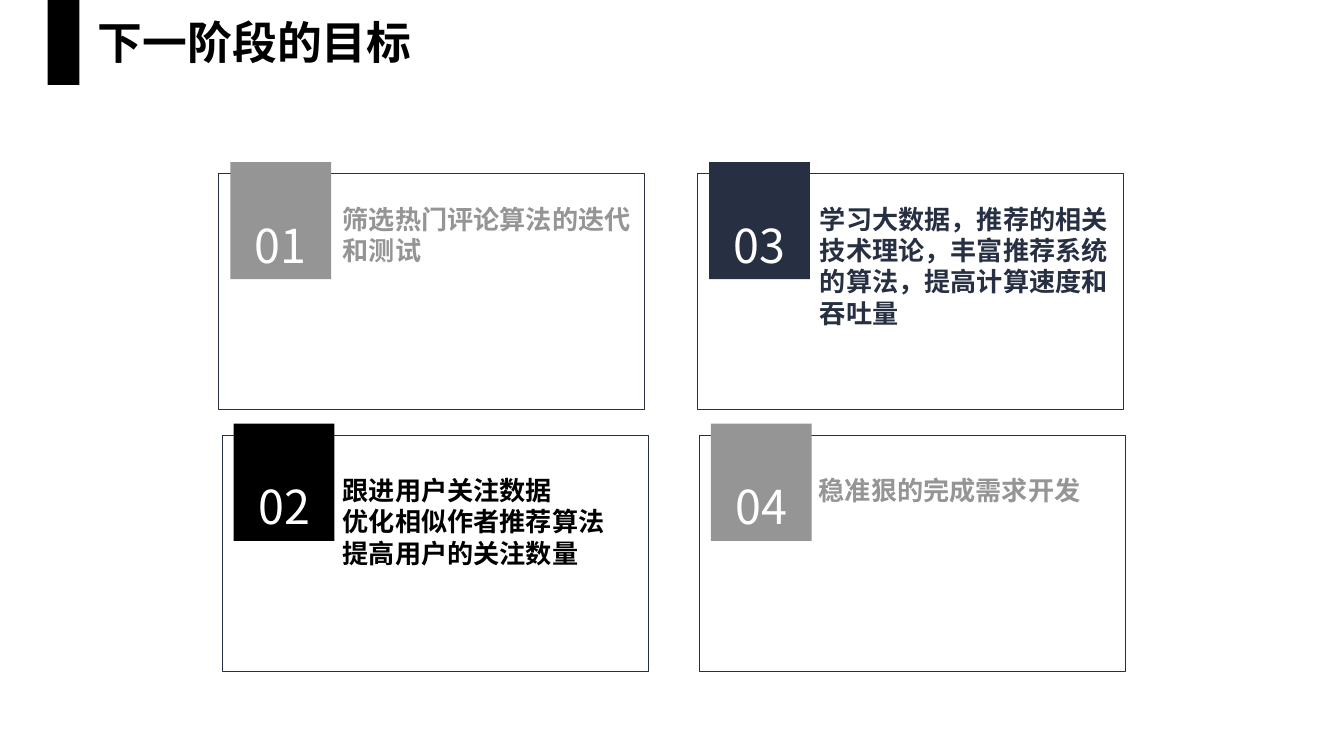
"""Build the slide of goals for the next stage: a title and four numbered cards."""
from lxml.etree import SubElement
from pptx import Presentation
from pptx.dml.color import RGBColor
from pptx.enum.shapes import MSO_SHAPE
from pptx.enum.text import MSO_ANCHOR, PP_ALIGN
from pptx.oxml.ns import qn
from pptx.util import Pt

FONT = "Noto Sans CJK SC"
WHITE = RGBColor(0xFF, 0xFF, 0xFF)
BLACK = RGBColor(0, 0, 0)
GRAY = RGBColor(0x95, 0x95, 0x95)
NAVY = RGBColor(0x27, 0x2F, 0x42)


def write(shape, text, size, color, bold=False, align=PP_ALIGN.LEFT,
          anchor=MSO_ANCHOR.TOP, wrap=True, inset=None):
    frame = shape.text_frame
    frame.text = text
    frame.word_wrap = wrap
    frame.vertical_anchor = anchor
    if inset is not None:
        frame.margin_left = frame.margin_right = Pt(inset)
        frame.margin_top = frame.margin_bottom = Pt(inset)
    for para in frame.paragraphs:
        para.alignment = align
        font = para.runs[0].font
        font.size, font.bold, font.name = Pt(size), bold, FONT
        font.color.rgb = color
        SubElement(para.runs[0]._r.rPr, qn("a:ea"), typeface=FONT)


def rect(group, left, top, width, height, fill=None):
    shape = group.shapes.add_shape(
        MSO_SHAPE.RECTANGLE, Pt(left), Pt(top), Pt(width), Pt(height))
    shape.shadow.inherit = False
    if fill is None:
        shape.fill.background()
        shape.line.color.rgb = NAVY
        shape.line.width = Pt(0.5)
    else:
        shape.fill.solid()
        shape.fill.fore_color.rgb = fill
        shape.line.fill.background()
    return shape


deck = Presentation()
deck.slide_width, deck.slide_height = Pt(720), Pt(405)
slide = deck.slides.add_slide(deck.slide_layouts[6])

cards = [
    ("01", 117.2, 93, 183.6, 108.7, GRAY, "筛选热门评论算法的迭代\n和测试"),
    ("03", 373.7, 93, 439.2, 108.7, NAVY,
     "学习大数据，推荐的相关\n技术理论，丰富推荐系统\n的算法，提高计算速度和\n吞吐量"),
    ("02", 119, 233.2, 183.6, 254.2, BLACK,
     "跟进用户关注数据\n优化相似作者推荐算法\n提高用户的关注数量"),
    ("04", 374.7, 233.2, 438.6, 254.2, GRAY, "稳准狠的完成需求开发"),
]
for num, left, top, text_x, text_y, color, goal in cards:
    card = slide.shapes.add_group_shape()
    rect(card, left, top, 228.2, 126.5)
    badge = rect(card, left + 6.2, top - 6.2, 54, 62.8, color)
    write(badge, num, size=25, color=WHITE, align=PP_ALIGN.CENTER,
          anchor=MSO_ANCHOR.BOTTOM)
    height = 16.8 * len(goal.split("\n"))
    label = card.shapes.add_textbox(Pt(text_x), Pt(text_y), Pt(157), Pt(height))
    write(label, goal, size=14, color=color, bold=True, wrap=False, inset=0)

head = slide.shapes.add_group_shape()
title = head.shapes.add_textbox(Pt(45.4), Pt(4.3), Pt(235.4), Pt(36))
write(title, "下一阶段的目标", size=24, color=BLACK, bold=True)
rect(head, 25.5, 0, 17, 45.5, BLACK)

deck.save("out.pptx")
